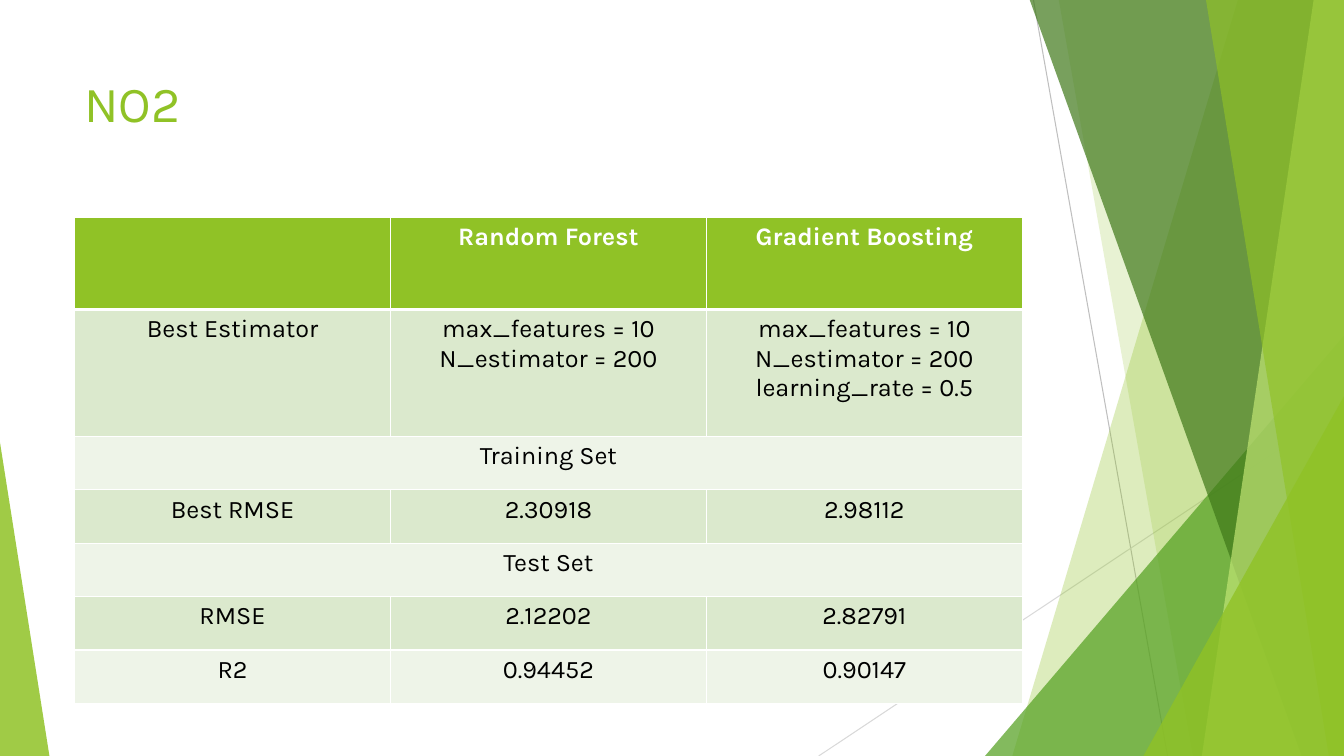
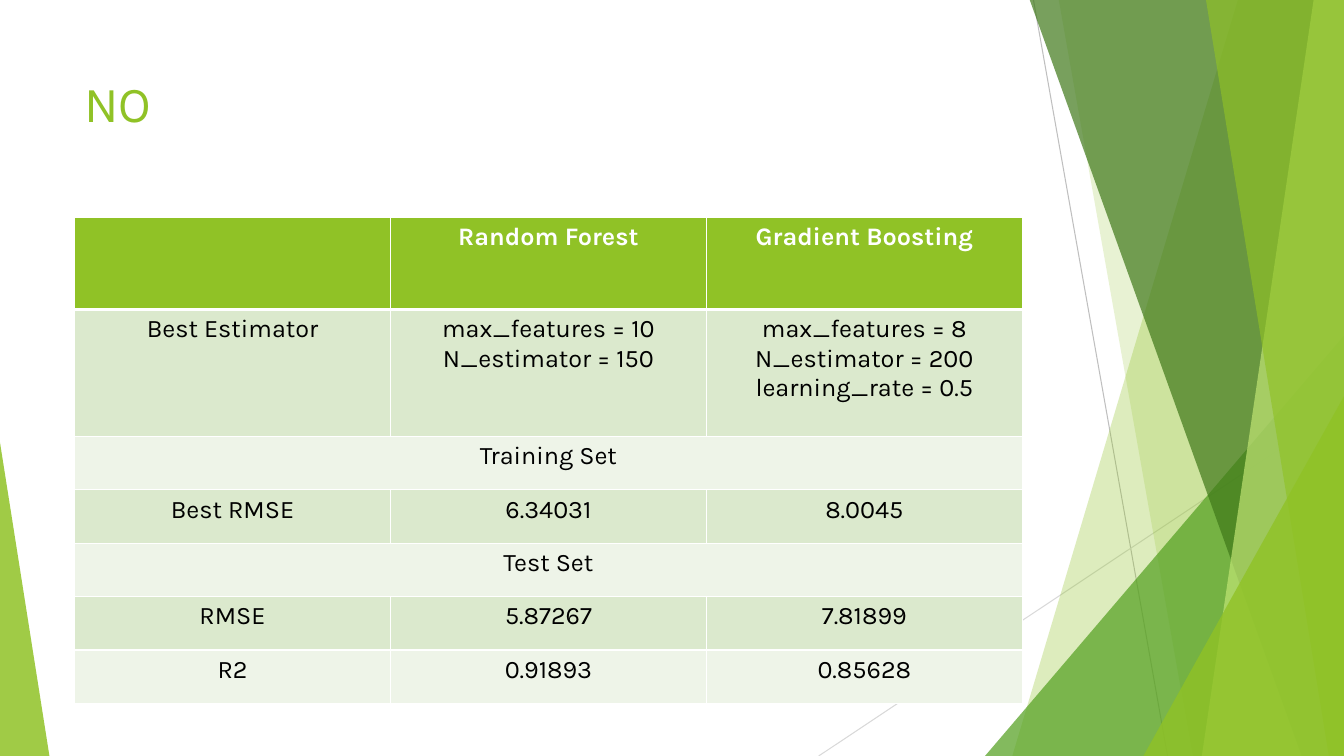
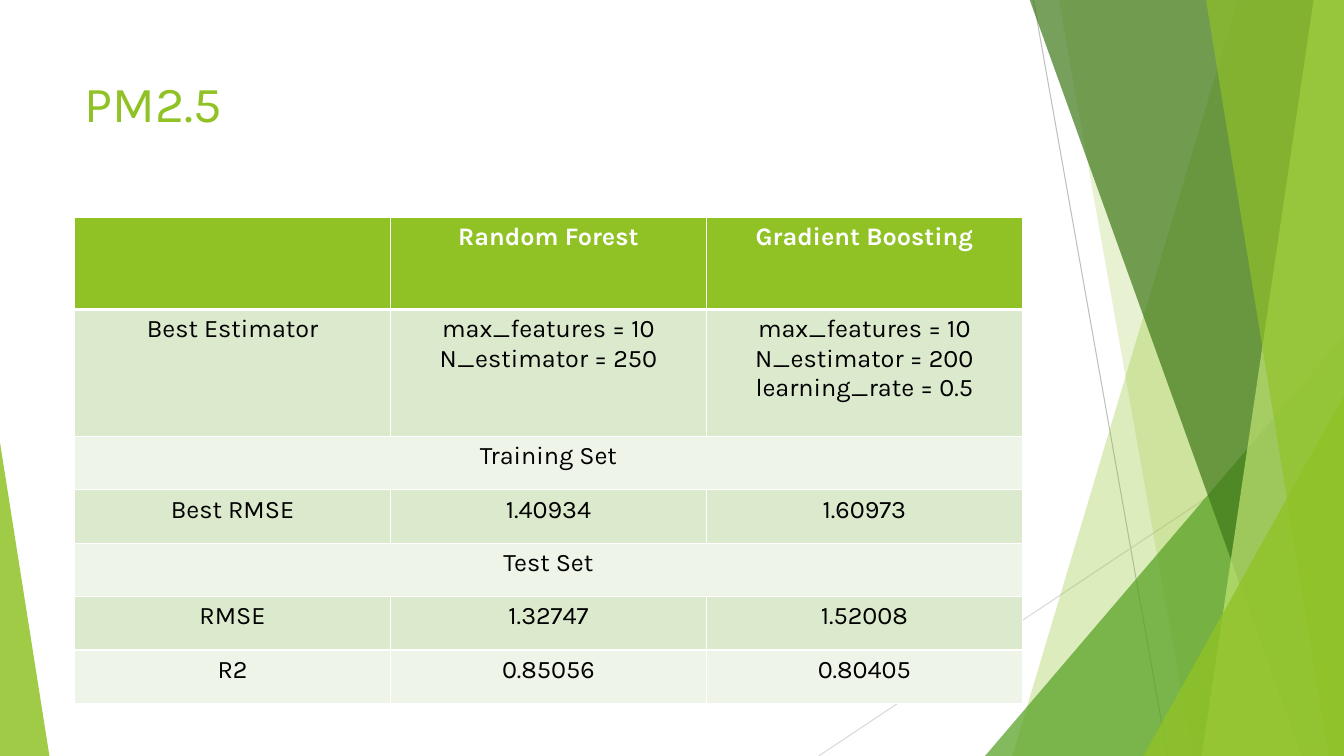
from dataclasses import dataclass

from lxml.etree import SubElement
from pptx import Presentation
from pptx.dml.color import RGBColor
from pptx.enum.shapes import MSO_CONNECTOR as Conn, MSO_SHAPE as Shape
from pptx.enum.text import MSO_ANCHOR as Anchor, PP_ALIGN as Align
from pptx.oxml.ns import qn
from pptx.util import Inches, Pt


# Theme
@dataclass(frozen=True)
class Theme:
    font: str = "Karla"
    title_size: int = 36
    body_size: int = 18
    white: str = "FFFFFF"
    black: str = "000000"
    lime: str = "90C226"
    green: str = "54A021"
    forest: str = "3F7819"
    pale: str = "C0E474"
    band_dark: str = "DBE9CD"
    band_light: str = "EEF4E8"
    line_dark: str = "BFBFBF"
    line_light: str = "D9D9D9"


T = Theme()
SLIDE_W, SLIDE_H = 13.33, 7.5
LEFT, CONTENT_W = 0.74, 9.4
TITLE_TOP, TITLE_H = 0.67, 1.44
TABLE_TOP = 2.16
ROW_HEIGHTS = [0.91, 1.26] + [0.53] * 5


# Background pieces
@dataclass(frozen=True)
class Ray:
    start: tuple[float, float]
    end: tuple[float, float]
    color: str


@dataclass(frozen=True)
class Facet:
    """Full-height panel that reaches the right edge of the slide."""
    top_x: float
    bottom_x: float
    color: str
    alpha: int


@dataclass(frozen=True)
class Corner:
    """Right triangle standing on the bottom edge."""
    left: float
    top: float
    width: float
    apex: float
    color: str
    alpha: int


BACKGROUND = [
    Ray((10.25, 0), (11.58, SLIDE_H), T.line_dark),
    Ray((SLIDE_W, 4.03), (8.12, SLIDE_H), T.line_light),
    Facet(12.28, 10.04, T.lime, 30),
    Facet(10.5, 11.83, T.lime, 20),
    Corner(9.77, 3.33, 3.56, 1, T.green, 72),
    Facet(10.21, 12.91, T.forest, 70),
    Facet(13.03, 11.92, T.pale, 70),
    Facet(11.96, 13.18, T.lime, 65),
    Corner(11.34, 3.93, 1.99, 1, T.lime, 80),
    Corner(0, 4.39, 0.49, 0, T.lime, 85),
]


# Slide content
@dataclass(frozen=True)
class Model:
    max_features: int
    estimators: int
    best_rmse: str
    rmse: str
    r2: str
    learning_rate: str = ""

    def settings(self) -> str:
        lines = [f"max_features = {self.max_features}",
                 f"N_estimator = {self.estimators}"]
        if self.learning_rate:
            lines.append(f"learning_rate = {self.learning_rate}")
        return "\n".join(lines)


@dataclass(frozen=True)
class Pollutant:
    name: str
    forest: Model
    boosting: Model


POLLUTANTS = [
    Pollutant("NO2", Model(10, 200, "2.30918", "2.12202", "0.94452"),
              Model(10, 200, "2.98112", "2.82791", "0.90147", "0.5")),
    Pollutant("NO", Model(10, 150, "6.34031", "5.87267", "0.91893"),
              Model(8, 200, "8.0045", "7.81899", "0.85628", "0.5")),
    Pollutant("PM2.5", Model(10, 250, "1.40934", "1.32747", "0.85056"),
              Model(10, 200, "1.60973", "1.52008", "0.80405", "0.5")),
]


# Drawing helpers
def write_text(tf, text: str, *, size: int = T.body_size, color: str = T.black,
               bold: bool = False, align=Align.CENTER) -> None:
    for i, line in enumerate(text.split("\n")):
        p = tf.add_paragraph() if i else tf.paragraphs[0]
        p.alignment = align
        r = p.add_run()
        r.text = line
        r.font.name, r.font.size, r.font.bold = T.font, Pt(size), bold
        r.font.color.rgb = RGBColor.from_string(color)


def paint(sp, color: str, alpha: int) -> None:
    sp.shadow.inherit = False
    sp.line.fill.background()
    sp.fill.solid()
    sp.fill.fore_color.rgb = RGBColor.from_string(color)
    clr = sp.fill._xPr.find(qn("a:solidFill"))[0]
    SubElement(clr, qn("a:alpha"), val=str(alpha * 1000))


def draw_ray(s, ray: Ray) -> None:
    ends = [Inches(v) for v in ray.start + ray.end]
    line = s.shapes.add_connector(Conn.STRAIGHT, *ends)
    line.line.color.rgb = RGBColor.from_string(ray.color)
    line.line.width = Pt(0.75)
    SubElement(line._element.spPr, qn("a:effectLst"))


def draw_facet(s, facet: Facet) -> None:
    top = -0.01
    corners = [(facet.top_x, top), (SLIDE_W, top),
               (SLIDE_W, SLIDE_H), (facet.bottom_x, SLIDE_H)]
    points = [(Inches(x), Inches(y)) for x, y in corners]
    outline = s.shapes.build_freeform(*points[0])
    outline.add_line_segments(points[1:], close=True)
    paint(outline.convert_to_shape(), facet.color, facet.alpha)


def draw_corner(s, corner: Corner) -> None:
    sp = s.shapes.add_shape(
        Shape.ISOSCELES_TRIANGLE, Inches(corner.left), Inches(corner.top),
        Inches(corner.width), Inches(SLIDE_H - corner.top))
    sp.adjustments[0] = corner.apex
    paint(sp, corner.color, corner.alpha)


DRAW = {Ray: draw_ray, Facet: draw_facet, Corner: draw_corner}


def draw_title(s, text: str) -> None:
    box = s.shapes.add_textbox(Inches(LEFT), Inches(TITLE_TOP),
                               Inches(CONTENT_W), Inches(TITLE_H))
    tf = box.text_frame
    tf.word_wrap = True
    tf.vertical_anchor = Anchor.TOP
    write_text(tf, text, size=T.title_size, color=T.lime, align=Align.LEFT)


def set_borders(cell, **widths: float) -> None:
    tc_pr = cell._tc.get_or_add_tcPr()
    for side in "LRTB":
        ln = SubElement(tc_pr, qn(f"a:ln{side}"),
                        w=str(Pt(widths.get(side, 1))))
        fill = SubElement(ln, qn("a:solidFill"))
        SubElement(fill, qn("a:srgbClr"), val=T.white)


def draw_table(s, item: Pollutant) -> None:
    rf, gb = item.forest, item.boosting
    rows = [
        ["", "Random Forest", "Gradient Boosting"],
        ["Best Estimator", rf.settings(), gb.settings()],
        ["Training Set"],
        ["Best RMSE", rf.best_rmse, gb.best_rmse],
        ["Test Set"],
        ["RMSE", rf.rmse, gb.rmse],
        ["R2", rf.r2, gb.r2],
    ]
    columns = len(rows[0])
    table = s.shapes.add_table(
        len(rows), columns, Inches(LEFT), Inches(TABLE_TOP),
        Inches(CONTENT_W), Inches(sum(ROW_HEIGHTS))).table
    for i, (texts, height) in enumerate(zip(rows, ROW_HEIGHTS)):
        table.rows[i].height = Inches(height)
        header = i == 0
        band = T.lime if header else T.band_dark if i % 2 else T.band_light
        # A heavier rule parts the header from the body
        heavy = {0: {"B": 3}, 1: {"T": 3}}.get(i, {})
        for j in range(columns):
            cell = table.cell(i, j)
            set_borders(cell, **heavy)
            cell.fill.solid()
            cell.fill.fore_color.rgb = RGBColor.from_string(band)
        if len(texts) == 1:
            table.cell(i, 0).merge(table.cell(i, columns - 1))
        for j, text in enumerate(texts):
            if text:
                write_text(table.cell(i, j).text_frame, text, bold=header,
                           color=T.white if header else T.black)


def main() -> None:
    prs = Presentation()
    prs.slide_width, prs.slide_height = Inches(SLIDE_W), Inches(SLIDE_H)
    for item in POLLUTANTS:
        s = prs.slides.add_slide(prs.slide_layouts[6])
        for piece in BACKGROUND:
            DRAW[type(piece)](s, piece)
        draw_title(s, item.name)
        draw_table(s, item)
    prs.save("out.pptx")


if __name__ == "__main__":
    main()
